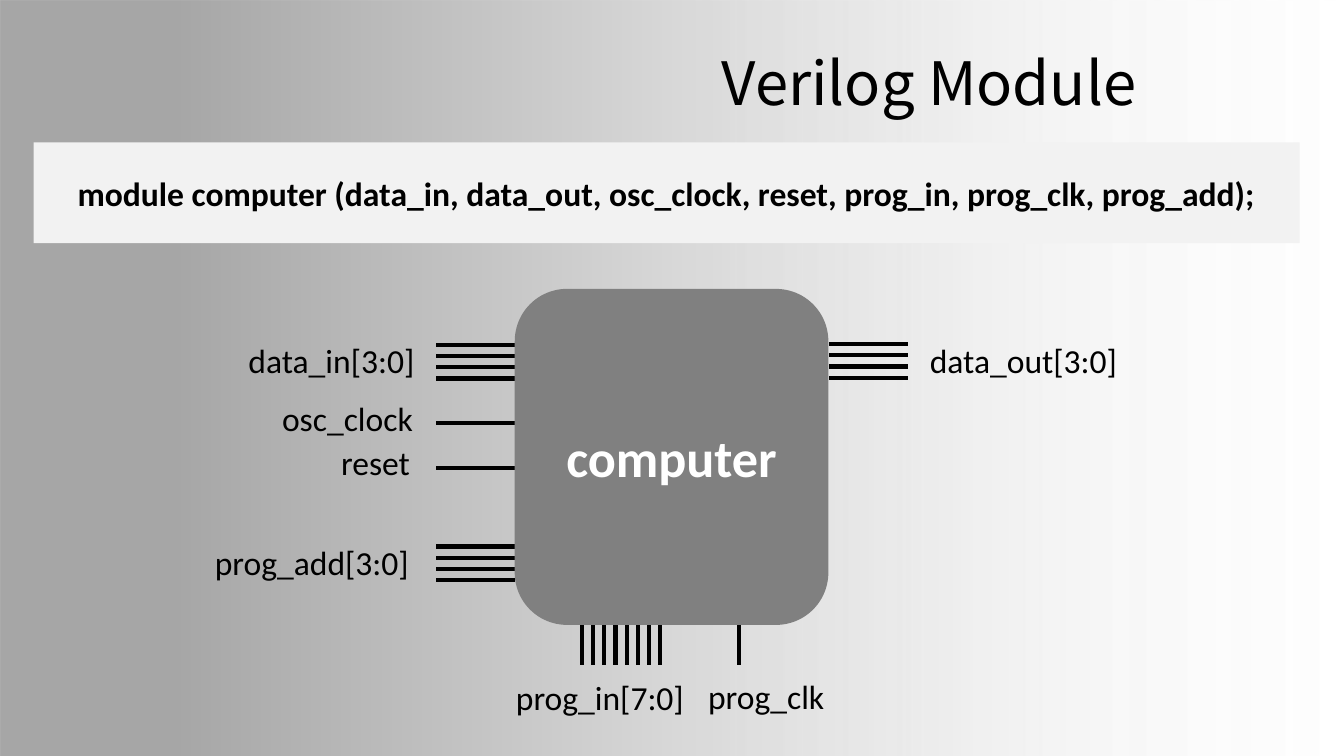
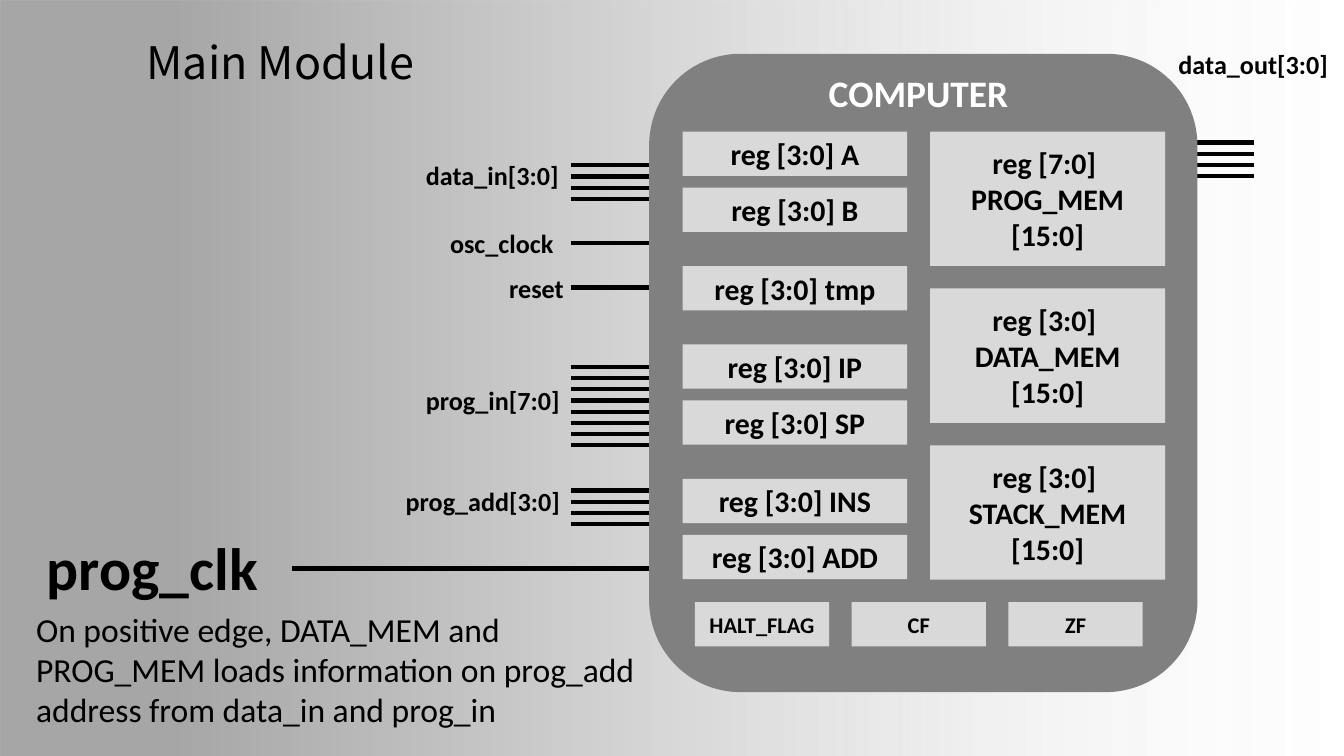
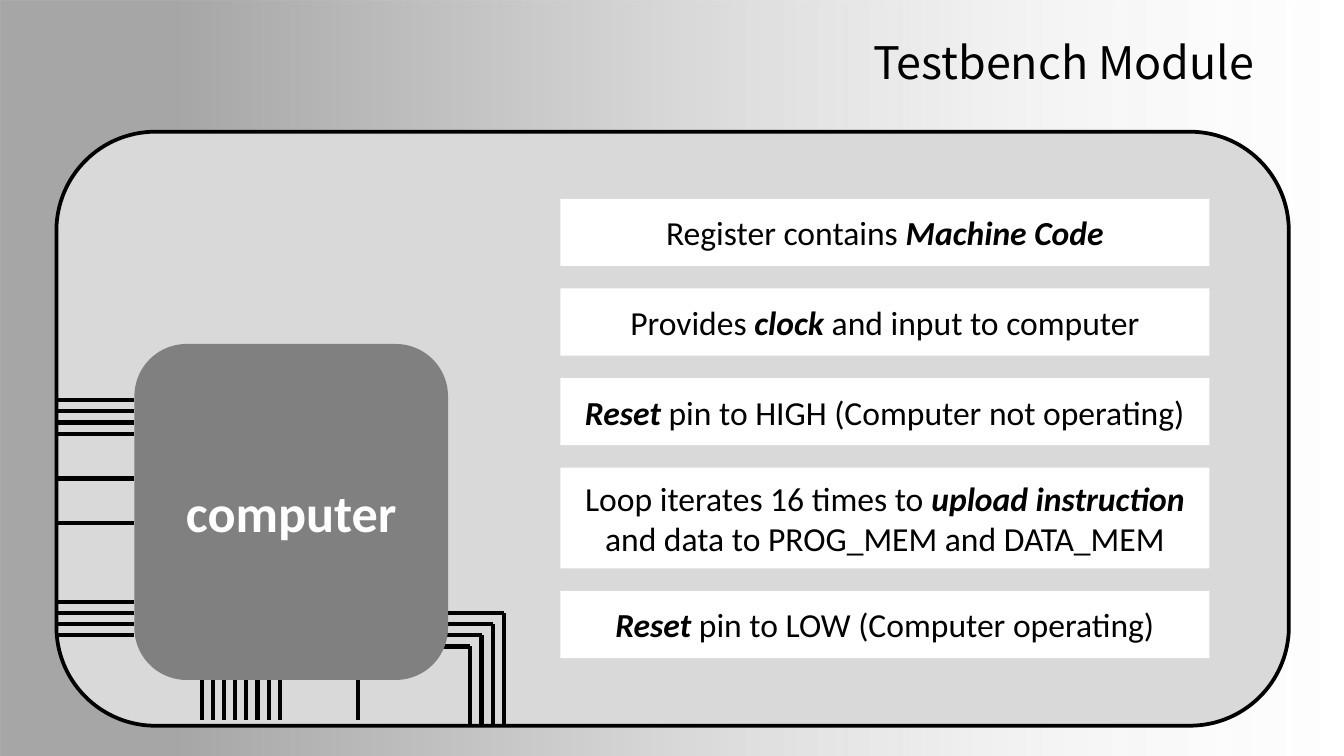
from dataclasses import dataclass
from typing import NamedTuple

from lxml.etree import SubElement
from pptx import Presentation
from pptx.dml.color import RGBColor
from pptx.enum.shapes import MSO_CONNECTOR, MSO_SHAPE
from pptx.enum.text import MSO_ANCHOR, MSO_AUTO_SIZE, PP_ALIGN
from pptx.oxml.ns import qn
from pptx.util import Inches, Pt

# Shared look
HUES = {
    "ink": "000000",
    "white": "FFFFFF",
    "pale": "F2F2F2",
    "light": "D9D9D9",
    "mid": "A6A6A6",
    "chip": "808080",
}
BODY = "Calibri"
HEAD = "Noto Sans CJK SC"
WIDE = 10
HIGH = WIDE * 9 / 16
UNIT = 1 / 12          # grid step and wire pitch
PIN = 7 * UNIT         # length of a side wire
DROP = 0.3             # length of a bottom wire


class Box(NamedTuple):
    x: float
    y: float
    w: float
    h: float


class Label(NamedTuple):
    text: str
    x: float
    y: float
    w: float = 1.68


@dataclass
class Font:
    size: float
    hue: str = "ink"
    bold: bool = False
    name: str = BODY


@dataclass
class Run:
    text: str
    strong: bool = False   # bold italic


@dataclass
class Bus:
    x: float
    y: float
    count: int = 1
    size: float = PIN
    down: bool = False


def tint(hue: str) -> RGBColor:
    return RGBColor.from_string(HUES[hue])


def write(frame, lines: list[list[Run]], font: Font, align=PP_ALIGN.CENTER) -> None:
    """Fill a text frame, one list of runs for each paragraph."""
    frame.word_wrap = True
    for i, line in enumerate(lines):
        para = frame.add_paragraph() if i else frame.paragraphs[0]
        para.alignment = align
        for part in line:
            run = para.add_run()
            run.text = part.text
            run.font.name = font.name
            run.font.size = Pt(font.size)
            run.font.bold = font.bold or part.strong
            run.font.italic = part.strong
            run.font.color.rgb = tint(font.hue)


def plain(*lines: str) -> list[list[Run]]:
    return [[Run(line)] for line in lines]


def block(slide, box: Box, hue: str, lines=(), font: Font = Font(18),
          kind=MSO_SHAPE.RECTANGLE, edge: float = 0):
    shape = slide.shapes.add_shape(kind, *map(Inches, box))
    shape.shadow.inherit = False
    shape.fill.solid()
    shape.fill.fore_color.rgb = tint(hue)
    if edge:
        shape.line.color.rgb = tint("ink")
        shape.line.width = Pt(edge)
    else:
        shape.line.fill.background()
    shape.text_frame.vertical_anchor = MSO_ANCHOR.MIDDLE
    write(shape.text_frame, lines, font)
    return shape


def label(slide, item: Label, font: Font, rows: int = 1) -> None:
    high = rows * font.size / 60 + 0.1
    box = slide.shapes.add_textbox(*map(Inches, (item.x, item.y, item.w, high)))
    write(box.text_frame, plain(item.text), font, PP_ALIGN.LEFT)
    box.text_frame.auto_size = MSO_AUTO_SIZE.SHAPE_TO_FIT_TEXT


def wire(slide, x1: float, y1: float, x2: float, y2: float) -> None:
    line = slide.shapes.add_connector(
        MSO_CONNECTOR.STRAIGHT, *map(Inches, (x1, y1, x2, y2)))
    line.line.color.rgb = tint("ink")
    line.line.width = Pt(2.25)
    SubElement(line._element.spPr, qn("a:effectLst"))


def draw(slide, *lanes: Bus) -> None:
    """Draw each bus as parallel wires, one unit apart."""
    for bus in lanes:
        for i in range(bus.count):
            if bus.down:
                x = bus.x + i * UNIT
                wire(slide, x, bus.y, x, bus.y + bus.size)
            else:
                y = bus.y + i * UNIT
                wire(slide, bus.x, y, bus.x + bus.size, y)


def back(slide) -> None:
    """Grey fade, placed behind everything."""
    shape = block(slide, Box(0, 0, WIDE, HIGH), "white")
    shape.fill.gradient()
    shape.fill.gradient_angle = 0
    stops = shape._element.spPr.find(qn("a:gradFill")).find(qn("a:gsLst"))
    for old in list(stops):
        stops.remove(old)
    for pos, hue, alpha in ((0, "white", 34), (49, "light", 100), (87, "mid", 100)):
        stop = SubElement(stops, qn("a:gs"), pos=str(pos * 1000))
        color = SubElement(stop, qn("a:srgbClr"), val=HUES[hue])
        if alpha < 100:
            SubElement(color, qn("a:alpha"), val=str(alpha * 1000))
    shape._element.spPr.find(qn("a:xfrm")).set("flipH", "1")
    slide.shapes._spTree.insert(2, shape._element)


def page(deck, text: str, box: Box, size: float = 24):
    """New slide with the fade and a placed title."""
    slide = deck.slides.add_slide(deck.slide_layouts[0])
    for holder in list(slide.placeholders):
        if holder.placeholder_format.idx:
            holder._element.getparent().remove(holder._element)
    back(slide)
    title = slide.shapes.title
    title.left, title.top, title.width, title.height = map(Inches, box)
    title.text_frame.auto_size = MSO_AUTO_SIZE.NONE
    title.text_frame.vertical_anchor = MSO_ANCHOR.MIDDLE
    write(title.text_frame, plain(text), Font(size, name=HEAD))
    return slide


def chip(slide, x: float, y: float) -> None:
    """The computer block with its input wires."""
    for step, count in ((5, 4), (12, 1), (16, 1), (23, 4)):
        draw(slide, Bus(x - PIN, y + step * UNIT, count))
    for step, count in ((6, 8), (20, 1)):
        draw(slide, Bus(x + step * UNIT, y + 2.5, count, DROP, True))
    block(slide, Box(x, y, 28 * UNIT, 2.5), "chip", plain("computer"),
          Font(28, "white", True), MSO_SHAPE.ROUNDED_RECTANGLE)


def ports(deck) -> None:
    slide = page(deck, "Verilog Module", Box(3.83, 0.15, 6.17, 0.92), 32)
    code = ("module computer (data_in, data_out, osc_clock, reset, "
            "prog_in, prog_clk, prog_add);")
    block(slide, Box(0.25, 1.06, 9.42, 0.75), "pale", plain(code), Font(18, bold=True))
    chip(slide, 3.83, 2.15)
    draw(slide, Bus(6.17, 2.56, 4))
    for item in (
        Label("data_in[3:0]", 1.75, 2.48),
        Label("data_out[3:0]", 6.82, 2.48),
        Label("osc_clock", 2, 2.91, 1.42),
        Label("reset", 2.44, 3.24, 0.9),
        Label("prog_in[7:0]", 3.74, 4.99),
        Label("prog_add[3:0]", 1.5, 3.98),
        Label("prog_clk", 5.17, 4.98),
    ):
        label(slide, item, Font(18))


def inside(deck) -> None:
    slide = page(deck, "Main Module", Box(0, 0, 4.17, 0.92))

    # Wires and their names
    left = 4.25
    draw(slide,
         Bus(left, 1.23, 4), Bus(left, 1.81), Bus(left, 2.14),
         Bus(left, 2.73, 8), Bus(left, 3.65, 4),
         Bus(2.17, 4.23, size=2.66), Bus(8.75, 1.06, 4))
    for item in (
        Label("data_in[3:0]", 3.07, 1.14),
        Label("data_out[3:0]", 8.67, 0.31),
        Label("osc_clock", 3.25, 1.64, 1.42),
        Label("reset", 3.69, 1.98, 0.9),
        Label("prog_in[7:0]", 3.07, 2.81),
        Label("prog_add[3:0]", 2.92, 3.56),
    ):
        label(slide, item, Font(14, bold=True))
    label(slide, Label("prog_clk", 0.25, 3.9, 2.75), Font(32, bold=True))

    # Case with its name
    block(slide, Box(4.83, 0.4, 4.08, 4.75), "chip", kind=MSO_SHAPE.ROUNDED_RECTANGLE)
    name = slide.shapes.add_textbox(*map(Inches, Box(5.67, 0.48, 2.33, 0.42)))
    name.text_frame.vertical_anchor = MSO_ANCHOR.MIDDLE
    write(name.text_frame, plain("COMPUTER"), Font(20, "white", True))

    # Registers, in groups
    top = y = 0.98
    bold = Font(16, bold=True)
    for group in (("A", "B"), ("tmp",), ("IP", "SP"), ("INS", "ADD")):
        for reg in group:
            block(slide, Box(5.08, y, 1.67, 0.33), "light",
                  plain(f"reg [3:0] {reg}"), bold)
            y += 5 * UNIT
        y += 2 * UNIT

    # Flags and memories share one pitch
    pitch = 14 * UNIT
    for i, flag in enumerate(("HALT_FLAG", "CF", "ZF")):
        block(slide, Box(5.17 + i * pitch, 4.48, 1, 0.33), "light",
              plain(flag), Font(12, bold=True))
    for i, (bits, mem) in enumerate((("7:0", "PROG"), ("3:0", "DATA"), ("3:0", "STACK"))):
        block(slide, Box(6.92, top + i * pitch, 1.75, 1), "light",
              plain(f"reg [{bits}] ", f"{mem}_MEM", "[15:0]"), bold)

    note = ("On positive edge, DATA_MEM and PROG_MEM loads information "
            "on prog_add address from data_in and prog_in")
    label(slide, Label(note, 0.17, 4.48, 4.75), Font(18), 3)


def bench(deck) -> None:
    slide = page(deck, "Testbench Module", Box(5.83, 0, 4.17, 0.92))
    block(slide, Box(0.42, 0.98, 9.17, 4.42), "light",
          kind=MSO_SHAPE.ROUNDED_RECTANGLE, edge=2)

    # Output wires turn down to the frame
    for i in range(4):
        x, y = 3.75 - i * UNIT, 4.56 + i * UNIT
        draw(slide, Bus(x - PIN, y), Bus(x, y, size=5.4 - y, down=True))
    chip(slide, 1, 2.56)

    # Steps
    y = 1.48
    for high, runs in (
        (0.5, [Run("Register contains "), Run("Machine Code", True)]),
        (0.5, [Run("Provides "), Run("clock", True), Run(" and input to computer")]),
        (0.5, [Run("Reset", True), Run(" pin to HIGH (Computer not operating)")]),
        (0.75, [Run("Loop iterates 16 times to "), Run("upload instruction ", True),
                Run("and data to PROG_MEM and DATA_MEM")]),
        (0.5, [Run("Reset", True), Run(" pin to LOW (Computer operating)")]),
    ):
        block(slide, Box(4.17, y, 4.83, high), "white", [runs])
        y += high + 2 * UNIT


def main() -> None:
    deck = Presentation()
    deck.slide_width, deck.slide_height = Inches(WIDE), Inches(HIGH)
    ports(deck)
    inside(deck)
    bench(deck)
    deck.save("out.pptx")


if __name__ == "__main__":
    main()
